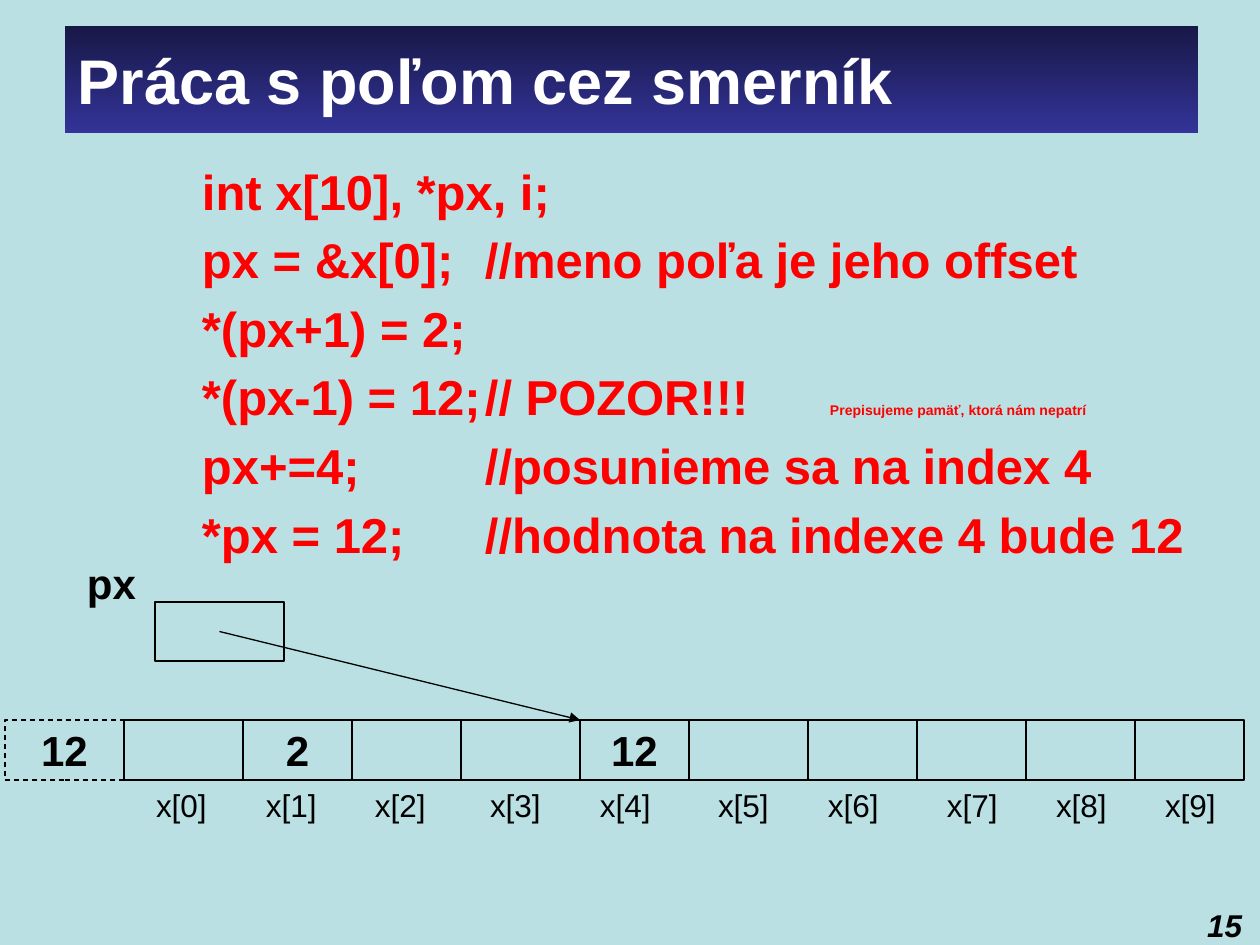
from dataclasses import dataclass
from itertools import accumulate

from pptx import Presentation
from pptx.dml.color import RGBColor
from pptx.enum.dml import MSO_LINE
from pptx.enum.shapes import MSO_CONNECTOR as Link, MSO_SHAPE as Form
from pptx.enum.text import MSO_ANCHOR as Anchor, MSO_AUTO_SIZE as Fit, PP_ALIGN as Align
from pptx.oxml.ns import qn
from pptx.util import Emu, Pt


@dataclass(frozen=True)
class Theme:
    font: str = "Arial"
    back: str = "BBE0E3"
    ink: str = "000000"
    code: str = "FF0000"
    light: str = "FFFFFF"
    dark: str = "181847"
    blue: str = "333399"
    title: int = 36
    body: int = 28
    value: int = 24
    label: int = 18
    note: int = 8
    rule: float = 0.75


THEME = Theme()
SCALE = 914400 / 126
WIDE, HIGH = 1260, 945
PAD, TRIM = 13, 6
CODE = [
    ["int x[10], *px, i;"],
    ["px = &x[0];\t//meno poľa je jeho offset"],
    ["*(px+1) = 2;"],
    ["*(px-1) = 12;\t// POZOR!!!\t", "Prepisujeme pamäť, ktorá nám nepatrí"],
    ["px+=4;\t//posunieme sa na index 4"],
    ["*px = 12;\t//hodnota na indexe 4 bude 12"],
]
STOPS = [283, 628]
SPANS = [119, 119, 109, 109, 119, 109, 119, 109, 109, 109, 109]
VALUES = {0: "12", 2: "2", 5: "12"}
LABELS = [143, 253, 362, 477, 587, 705, 815, 934, 1043, 1152]


def px(num):
    return Emu(round(num * SCALE))


def rgb(code):
    return RGBColor.from_string(code)


def frame(shape, anchor=Anchor.TOP, wrap=True, fit=Fit.NONE, pads=(PAD, TRIM, PAD, TRIM)):
    box = shape.text_frame
    box.word_wrap = wrap
    box.auto_size = fit
    box.vertical_anchor = anchor
    box.margin_left, box.margin_top, box.margin_right, box.margin_bottom = map(px, pads)
    return box


def write(para, text, size, color=THEME.ink, bold=False, italic=False, align=Align.LEFT):
    para.alignment = align
    run = para.add_run()
    run.text = text
    font = run.font
    font.name, font.size, font.bold, font.italic = THEME.font, Pt(size), bold, italic
    font.color.rgb = rgb(color)


def add_text(slide, box, text, size, wrap=False, **style):
    shape = slide.shapes.add_textbox(*map(px, box))
    fit = Fit.NONE if wrap else Fit.SHAPE_TO_FIT_TEXT
    write(frame(shape, wrap=wrap, fit=fit).paragraphs[0], text, size, **style)


def add_cell(slide, box, text="", dash=False):
    cell = slide.shapes.add_shape(Form.RECTANGLE, *map(px, box))
    cell.shadow.inherit = False
    cell.line.color.rgb = rgb(THEME.ink)
    cell.line.width = Pt(THEME.rule)
    if dash:
        cell.fill.background()
        cell.line.dash_style = MSO_LINE.DASH
    else:
        cell.fill.solid()
        cell.fill.fore_color.rgb = rgb(THEME.back)
    if text:
        para = frame(cell, Anchor.MIDDLE, wrap=False).paragraphs[0]
        write(para, text, THEME.value, bold=True, align=Align.CENTER)


def add_arrow(slide, start, end):
    line = slide.shapes.add_connector(Link.STRAIGHT, *map(px, start + end))
    line.line.color.rgb = rgb(THEME.ink)
    line.line.width = Pt(THEME.rule)
    props = line._element.spPr
    tail = props.find(qn("a:ln")).makeelement(qn("a:tailEnd"), {"type": "triangle"})
    props.find(qn("a:ln")).append(tail)
    props.append(props.makeelement(qn("a:effectLst"), {}))


def add_title(slide, box, text):
    title = slide.shapes.title
    title.left, title.top, title.width, title.height = map(px, box)
    title.fill.gradient()
    title.fill.gradient_angle = 270
    for stop, color in zip(title.fill.gradient_stops, (THEME.dark, THEME.blue)):
        stop.color.rgb = rgb(color)
    para = frame(title, Anchor.MIDDLE).paragraphs[0]
    write(para, text, THEME.title, color=THEME.light, bold=True)


def add_code(slide, box, lines):
    shape = slide.shapes.add_textbox(*map(px, box))
    body = frame(shape, pads=(139, TRIM, 0, TRIM))
    for row, parts in enumerate(lines):
        para = body.paragraphs[0] if row == 0 else body.add_paragraph()
        if row:
            para.space_before = Pt(THEME.body * 0.2)
        props = para._p.get_or_add_pPr()
        tabs = props.makeelement(qn("a:tabLst"), {})
        for stop in STOPS:
            tabs.append(tabs.makeelement(qn("a:tab"), {"pos": str(px(stop)), "algn": "l"}))
        props.append(tabs)
        for text, size in zip(parts, (THEME.body, THEME.note)):
            write(para, text, size, color=THEME.code, bold=True)


def add_array(slide, box):
    left, top, _, high = box
    lefts = list(accumulate(SPANS, initial=left))
    for spot, wide in enumerate(SPANS):
        add_cell(slide, (lefts[spot], top, wide, high), VALUES.get(spot, ""), spot == 0)
    for num, edge in enumerate(LABELS):
        add_text(slide, (edge, top + high, 79, 50), f"x[{num}]", THEME.label)
    return lefts[5], top


def add_pointer(slide, box, end):
    left, top, wide, high = box
    add_cell(slide, box)
    add_text(slide, (left - 81, top - 50, 78, 63), "px", THEME.value, bold=True)
    add_arrow(slide, (left + wide / 2, top + high / 2), end)


def main():
    deck = Presentation()
    deck.slide_width, deck.slide_height = px(WIDE), px(HIGH)
    slide = deck.slides.add_slide(deck.slide_layouts[5])
    slide.background.fill.solid()
    slide.background.fill.fore_color.rgb = rgb(THEME.back)
    add_title(slide, (65, 26, 1133, 107), "Práca s poľom cez smerník")
    add_code(slide, (63, 155, 1134, 384), CODE)
    end = add_array(slide, (5, 720, 1240, 60))
    add_pointer(slide, (155, 602, 129, 59), end)
    add_text(slide, (1188, 900, 67, 39), "15", THEME.label, wrap=True,
             bold=True, italic=True, align=Align.RIGHT)
    deck.save("out.pptx")


if __name__ == "__main__":
    main()
